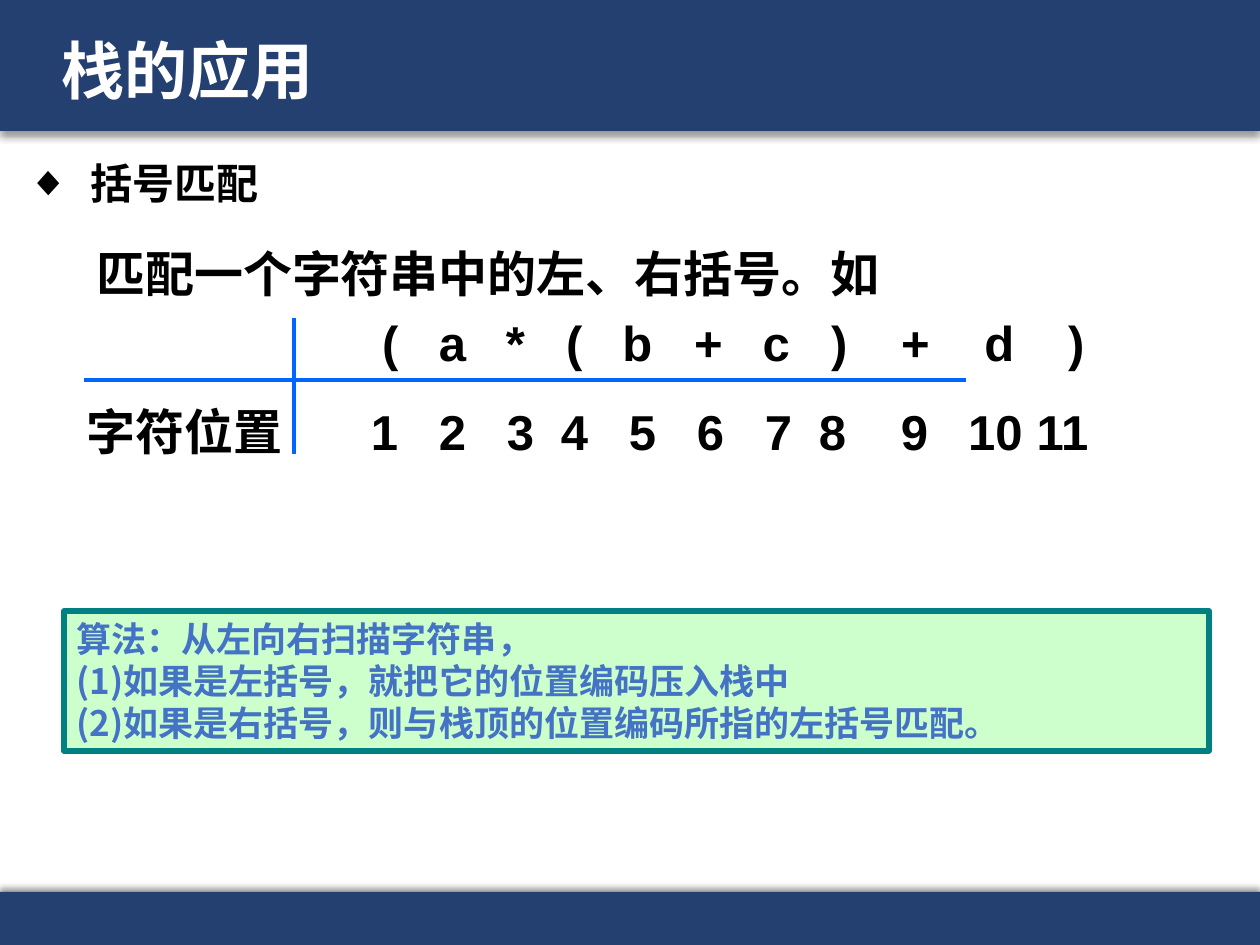
from lxml import etree
from pptx import Presentation
from pptx import util as u
from pptx.dml.color import RGBColor
from pptx.enum import shapes, text
from pptx.oxml.ns import qn

PX_PER_INCH = 126
CJK, LATIN = "Noto Sans CJK SC", "Arial"
NAVY, WHITE, BLACK = "234071", "FFFFFF", "000000"
AXIS_BLUE, PALE_GREEN, TEAL, TEXT_BLUE = "0066FF", "CCFFCC", "008080", "4472C4"

# Each character with the centre of its column, from the left of the table
EXPRESSION = list(zip("(a*(b+c)+d)",
                      (307, 369, 432, 491, 554, 625, 693, 756, 832, 916, 993)))
POSITIONS = list(zip(range(1, 12),
                     (301, 369, 437, 491, 559, 627, 695, 749, 831, 912, 979)))


def px(length):
    return u.Emu(round(length * 914400 / PX_PER_INCH))


def color(value):
    return RGBColor.from_string(value)


def place(shape, box):
    shape.left, shape.top, shape.width, shape.height = map(px, box)


def child(parent, tag, **attributes):
    element = etree.SubElement(parent, qn(tag))
    for name, value in attributes.items():
        element.set(name, str(value))
    return element


def add_run(paragraph, words, size, ink=BLACK, latin=CJK):
    run = paragraph.add_run()
    run.text = words
    font = run.font
    font.size, font.bold, font.name = u.Pt(size), True, latin
    font.color.rgb = color(ink)
    child(font._element, "a:ea", typeface=CJK)


def add_text_box(slide, box):
    shape = slide.shapes.add_textbox(*map(px, box))
    shape.text_frame.word_wrap = True
    return shape.text_frame


def add_columns(paragraph, columns, inset):
    """Centre each character on its own tab stop."""
    stops = child(paragraph._p.get_or_add_pPr(), "a:tabLst")
    for character, centre in columns:
        child(stops, "a:tab", pos=px(centre - inset), algn="ctr")
        add_run(paragraph, f"\t{character}", 28, latin=LATIN)


def add_rectangle(slide, box, fill):
    shape = slide.shapes.add_shape(shapes.MSO_SHAPE.RECTANGLE, *map(px, box))
    shape.shadow.inherit = False
    shape.fill.solid()
    shape.fill.fore_color.rgb = color(fill)
    return shape


def add_band(slide, box, shadow_angle):
    shape = add_rectangle(slide, box, NAVY)
    shape.line.fill.background()
    effects = shape._element.spPr.find(qn("a:effectLst"))
    shadow = child(effects, "a:outerShdw", blurRad=u.Pt(4), dist=u.Pt(3),
                   dir=shadow_angle * 60000, algn="ctr", rotWithShape=0)
    child(child(shadow, "a:srgbClr", val=BLACK), "a:alpha", val=40000)
    # Bands lie behind the placeholders
    slide.shapes._spTree.insert(2, shape._element)


def add_title(slide, box):
    title = slide.shapes.title
    place(title, box)
    frame = title.text_frame
    frame.auto_size = text.MSO_AUTO_SIZE.NONE
    frame.vertical_anchor = text.MSO_ANCHOR.MIDDLE
    paragraph = frame.paragraphs[0]
    paragraph.alignment = text.PP_ALIGN.LEFT
    paragraph.line_spacing = 0.9
    add_run(paragraph, "栈的应用", 36, WHITE)


def add_topic(slide, box):
    body = slide.placeholders[1]
    place(body, box)
    body.text_frame.auto_size = text.MSO_AUTO_SIZE.NONE
    paragraph = body.text_frame.paragraphs[0]
    paragraph.space_before = u.Pt(0)
    paragraph.line_spacing = u.Pt(38)
    properties = paragraph._p.get_or_add_pPr()
    properties.set("marL", str(px(63)))
    properties.set("indent", str(px(-63)))
    child(properties, "a:buFont", typeface=LATIN)
    child(properties, "a:buChar", char="◆")
    add_run(paragraph, "括号匹配", 24)


def add_line(slide, start, end):
    line = slide.shapes.add_connector(
        shapes.MSO_CONNECTOR.STRAIGHT, *map(px, (*start, *end)))
    line.line.color.rgb = color(AXIS_BLUE)
    line.line.width = u.Pt(2.25)
    child(line._element.spPr, "a:effectLst")


def add_example(slide, box):
    left, top, width, height = box

    # Sentence and expression
    frame = add_text_box(slide, (left, top, width, 137))
    sentence = frame.paragraphs[0]
    sentence.line_spacing = u.Pt(30)
    add_run(sentence, "匹配一个字符串中的左、右括号。如", 28)
    expression = frame.add_paragraph()
    expression.line_spacing = u.Pt(25)
    expression.space_before = u.Pt(14)
    add_columns(expression, EXPRESSION, 13)

    # Character positions
    frame = add_text_box(slide, (left - 10, top + 158, width + 34, 60))
    positions = frame.paragraphs[0]
    positions.line_spacing = u.Pt(30)
    add_run(positions, "字符位置", 28, latin=LATIN)
    add_columns(positions, POSITIONS, 3)

    # Crossing rules
    add_line(slide, (left, top + 136), (left + 882, top + 136))
    add_line(slide, (left + 210, top + 74), (left + 210, top + height))


def add_algorithm(slide, box):
    shape = add_rectangle(slide, box, PALE_GREEN)
    shape.line.color.rgb = color(TEAL)
    shape.line.width = u.Pt(3)
    frame = shape.text_frame
    frame.word_wrap = True
    frame.vertical_anchor = text.MSO_ANCHOR.TOP
    steps = ("算法：从左向右扫描字符串，",
             "(1)如果是左括号，就把它的位置编码压入栈中",
             "(2)如果是右括号，则与栈顶的位置编码所指的左括号匹配。")
    for number, step in enumerate(steps):
        paragraph = frame.add_paragraph() if number else frame.paragraphs[0]
        paragraph.alignment = text.PP_ALIGN.LEFT
        paragraph.line_spacing = u.Pt(24)
        add_run(paragraph, step, 20, TEXT_BLUE)


def main():
    presentation = Presentation()
    presentation.slide_width, presentation.slide_height = px(1260), px(945)
    slide = presentation.slides.add_slide(presentation.slide_layouts[1])
    add_band(slide, (0, 0, 1260, 131), 90)
    add_band(slide, (0, 892, 1260, 53), 270)
    add_title(slide, (49, 20, 1086, 108))
    add_topic(slide, (15, 135, 1194, 68))
    add_example(slide, (84, 244, 1081, 210))
    add_algorithm(slide, (64, 611, 1145, 140))
    presentation.save("out.pptx")


if __name__ == "__main__":
    main()
